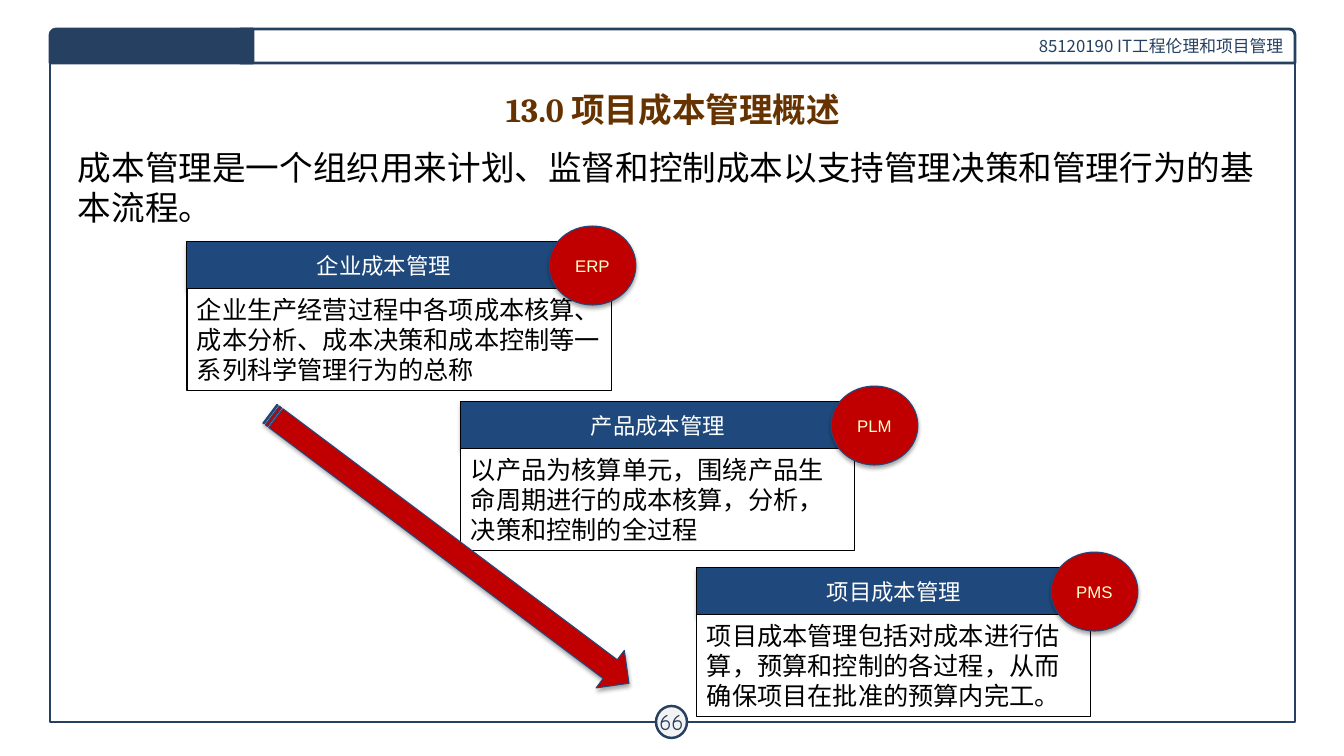
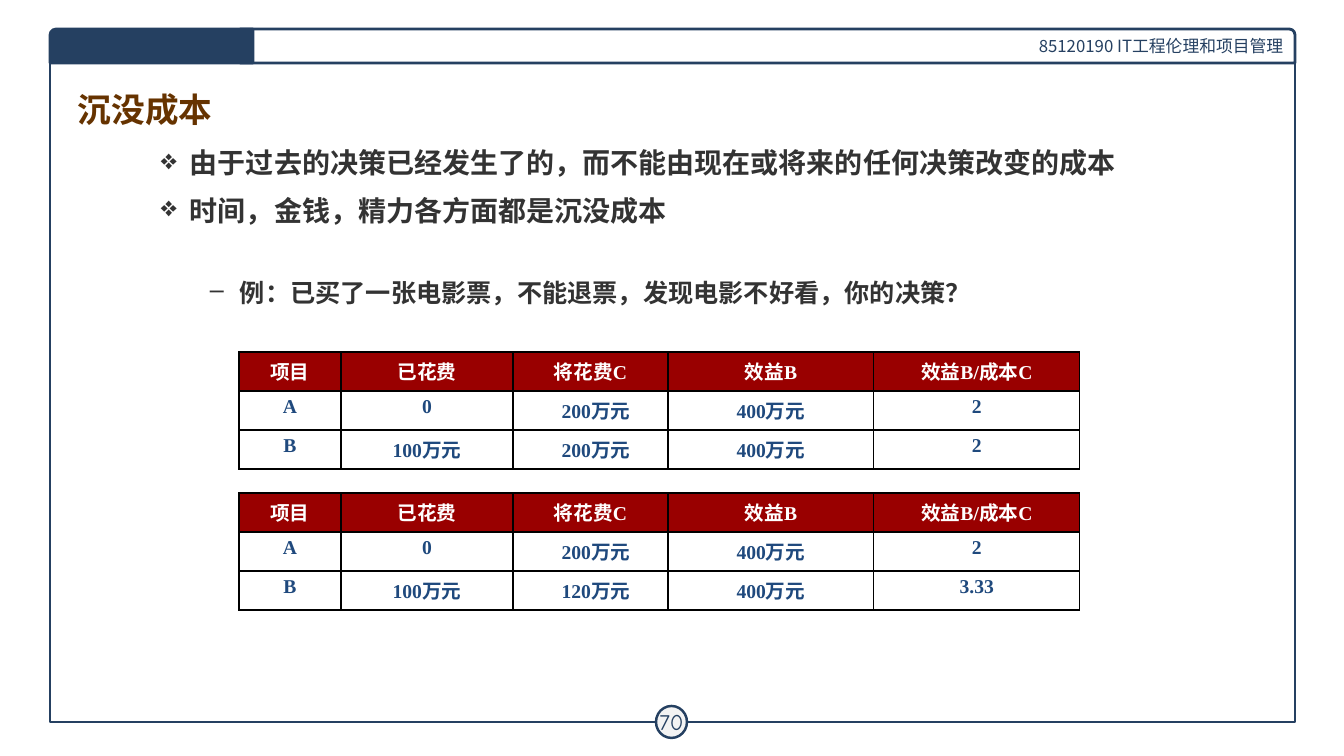
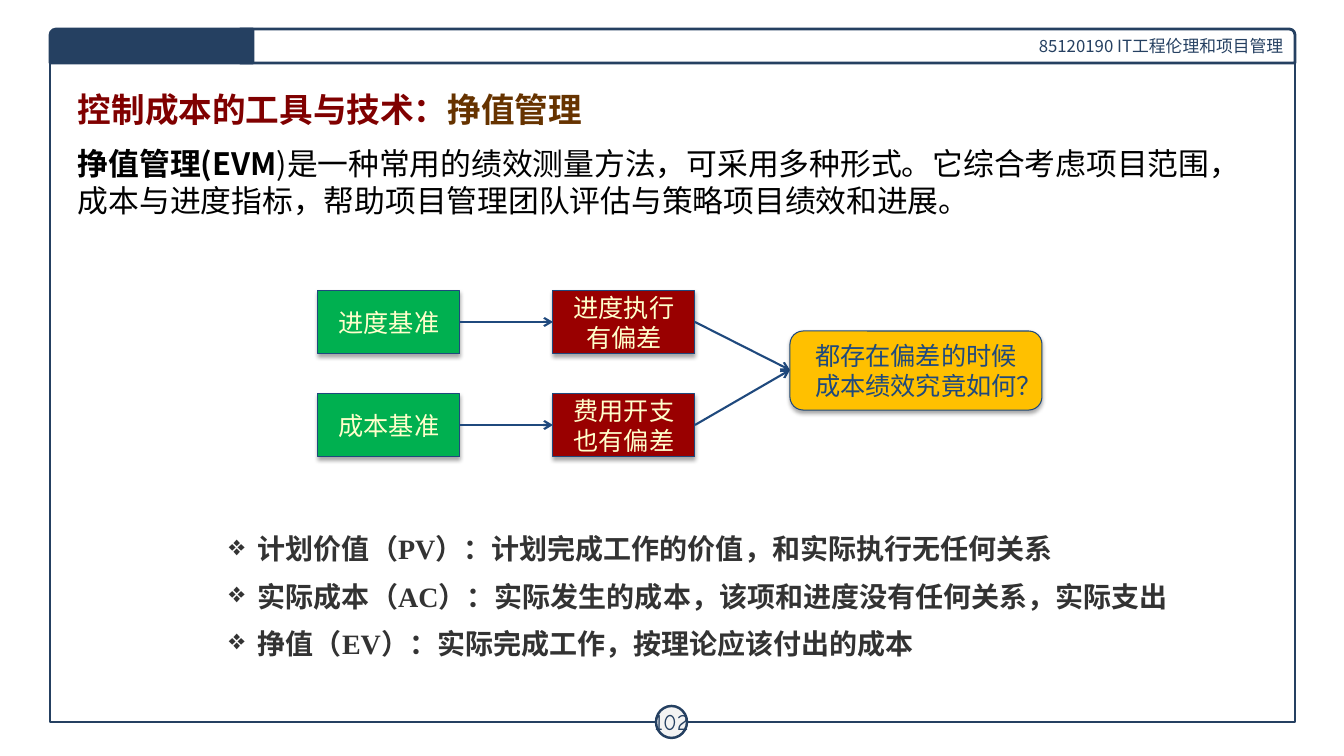
from dataclasses import dataclass

from lxml.etree import SubElement
from pptx import Presentation
from pptx.dml.color import RGBColor
from pptx.enum.shapes import MSO_CONNECTOR, MSO_SHAPE
from pptx.enum.text import MSO_ANCHOR, PP_ALIGN
from pptx.oxml.ns import qn
from pptx.util import Pt

PAGE_WIDTH, PAGE_HEIGHT = 1344, 756
EMU_PER_PX = 914400 / 100.8


@dataclass(frozen=True)
class Theme:
    navy: str = "254061"
    blue: str = "1F497D"
    brown: str = "663300"
    maroon: str = "800000"
    crimson: str = "990000"
    red: str = "C00000"
    green: str = "00B050"
    amber: str = "FFC000"
    cream: str = "FFFFCC"
    grey: str = "333333"
    pale: str = "F3F3F3"
    black: str = "000000"
    white: str = "FFFFFF"
    sans: str = "Noto Sans CJK SC"
    serif: str = "Cambria"
    times: str = "Times New Roman"
    title: int = 24
    lead: int = 22
    bullet: int = 20
    body: int = 18
    label: int = 16
    cell: int = 14
    small: int = 12


T = Theme()

# Content
COURSE = "85120190 IT工程伦理和项目管理"

COST_TITLE = "13.0 项目成本管理概述"
COST_INTRO = "成本管理是一个组织用来计划、监督和控制成本以支持管理决策和管理行为的基本流程。"
# left, top, body width, badge left, badge, heading, body
COST_LEVELS = [
    (187, 242, 425, 549, "ERP", "企业成本管理",
     "企业生产经营过程中各项成本核算、成本分析、成本决策和成本控制等一系列科学管理行为的总称"),
    (461, 402, 394, 831, "PLM", "产品成本管理",
     "以产品为核算单元，围绕产品生命周期进行的成本核算，分析，决策和控制的全过程"),
    (697, 568, 394, 1051, "PMS", "项目成本管理",
     "项目成本管理包括对成本进行估算，预算和控制的各过程，从而确保项目在批准的预算内完工。"),
]

SUNK_TITLE = "沉没成本"
SUNK_POINTS = [
    "由于过去的决策已经发生了的，而不能由现在或将来的任何决策改变的成本",
    "时间，金钱，精力各方面都是沉没成本",
]
SUNK_EXAMPLE = "例：已买了一张电影票，不能退票，发现电影不好看，你的决策？"
SUNK_HEADER = ["项目", "已花费", "将花费C", "效益B", "效益B/成本C"]
PROJECT_A = ["A", "0", "200万元", "400万元", "2"]
SUNK_TABLES = [
    (352, [PROJECT_A, ["B", "100万元", "200万元", "400万元", "2"]]),
    (493, [PROJECT_A, ["B", "100万元", "120万元", "400万元", "3.33"]]),
]
COLUMN_WIDTHS = [102, 172, 155, 206, 206]
ROW_HEIGHT = 39
SHIFTED_COLUMN = 2

EVM_TITLE = ["控制成本的工具与技术：", "挣值管理"]
EVM_INTRO = ["挣值管理(EVM", ")是一种常用的绩效测量方法，可采用多种形式。它综合考虑项目范围，"
             "成本与进度指标，帮助项目管理团队评估与策略项目绩效和进展。"]
EVM_FLOWS = [("进度基准", "进度执行有偏差"), ("成本基准", "费用开支也有偏差")]
EVM_QUESTION = "都存在偏差的时候成本绩效究竟如何？"
EVM_POINTS = [
    "计划价值（PV）：计划完成工作的价值，和实际执行无任何关系",
    "实际成本（AC）：实际发生的成本，该项和进度没有任何关系，实际支出",
    "挣值（EV）：实际完成工作，按理论应该付出的成本",
]


# Helpers
def px(length):
    return round(length * EMU_PER_PX)


def rgb(colour):
    return RGBColor.from_string(colour)


def add_run(para, text, size, colour, font=T.sans, bold=False):
    span = para.add_run()
    span.text = text
    span.font.size = Pt(size)
    span.font.bold = bold
    span.font.color.rgb = rgb(colour)
    span.font.name = font
    SubElement(span.font._element, qn("a:ea"), typeface=T.sans)


def add_shape(page, kind, area, fill=None, line=T.blue, width=0.75, shadow=False):
    shape = page.shapes.add_shape(kind, *map(px, area))
    shape.shadow.inherit = False
    if fill:
        shape.fill.solid()
        shape.fill.fore_color.rgb = rgb(fill)
    else:
        shape.fill.background()
    shape.line.color.rgb = rgb(line)
    shape.line.width = Pt(width)
    if shadow:
        effects = shape.element.spPr.find(qn("a:effectLst"))
        outer = SubElement(effects, qn("a:outerShdw"), blurRad=str(Pt(3.1)),
                           dist=str(Pt(1.8)), dir="5400000", rotWithShape="0")
        black = SubElement(outer, qn("a:srgbClr"), val=T.black)
        SubElement(black, qn("a:alpha"), val="35000")
    return shape


def write(shape, text, size, colour, font=T.sans, align=PP_ALIGN.CENTER,
          anchor=MSO_ANCHOR.MIDDLE, wrap=True):
    frame = shape.text_frame
    frame.word_wrap = wrap
    frame.vertical_anchor = anchor
    para = frame.paragraphs[0]
    para.alignment = align
    add_run(para, text, size, colour, font)
    return frame


def add_text(page, area, runs, align=PP_ALIGN.LEFT, anchor=MSO_ANCHOR.TOP):
    frame = page.shapes.add_textbox(*map(px, area)).text_frame
    frame.word_wrap = True
    frame.vertical_anchor = anchor
    para = frame.paragraphs[0]
    para.alignment = align
    for run in runs:
        add_run(para, *run)
    return frame


def set_bullet(para, mark, left, hang):
    properties = para._p.get_or_add_pPr()
    properties.set("marL", str(px(left)))
    properties.set("indent", str(-px(hang)))
    if mark:
        SubElement(properties, qn("a:buChar"), char=mark)


def add_bullets(page, area, points, font):
    frame = add_text(page, area, [])
    for index, point in enumerate(points):
        para = frame.add_paragraph() if index else frame.paragraphs[0]
        set_bullet(para, "❖", 29, 29)
        para.space_before = Pt(7.2 if index else 0)
        para.space_after = Pt(2.4)
        add_run(para, point, T.bullet, T.grey, font, True)
    return frame


def add_arrow(page, start, end):
    arrow = page.shapes.add_connector(MSO_CONNECTOR.STRAIGHT, *map(px, start + end))
    arrow.line.color.rgb = rgb(T.blue)
    arrow.line.width = Pt(1.5)
    SubElement(arrow.line._get_or_add_ln(), qn("a:tailEnd"), type="arrow")
    SubElement(arrow.element.spPr, qn("a:effectLst"))


def add_page(deck, number, title, align=PP_ALIGN.LEFT):
    page = deck.slides.add_slide(deck.slide_layouts[6])
    add_shape(page, MSO_SHAPE.RECTANGLE, (50, 50, 1245, 672), line=T.navy, width=2)
    band = add_shape(page, MSO_SHAPE.ROUND_1_RECTANGLE, (240, 29, 1055, 34),
                     T.white, T.navy, 2)
    write(band, COURSE, T.small, T.navy, align=PP_ALIGN.RIGHT)
    badge = add_shape(page, MSO_SHAPE.OVAL, (656, 706, 31, 32), T.pale, T.navy, 1.75)
    frame = write(badge, str(number), T.label, T.navy, "Comic Neue", wrap=False)
    frame.margin_left = frame.margin_right = px(4)
    frame.margin_top = frame.margin_bottom = px(4)
    tab = add_shape(page, MSO_SHAPE.ROUND_1_RECTANGLE, (50, 29, 203, 34),
                    T.navy, T.navy, 2)
    tab.adjustments[0] = 0.18
    tab.element.spPr.xfrm.set("flipH", "1")
    add_text(page, (68, 85, 1210, 48), title, align, MSO_ANCHOR.MIDDLE)
    return page


def add_cost_table(page, top, rows):
    rows = [SUNK_HEADER] + rows
    table = page.shapes.add_table(
        len(rows), len(COLUMN_WIDTHS), px(239), px(top),
        px(sum(COLUMN_WIDTHS)), px(ROW_HEIGHT * len(rows))).table
    table.first_row = table.horz_banding = False
    for column, width in zip(table.columns, COLUMN_WIDTHS):
        column.width = px(width)
    for row_index, row in enumerate(rows):
        table.rows[row_index].height = px(ROW_HEIGHT)
        for column_index, text in enumerate(row):
            cell = table.cell(row_index, column_index)
            properties = cell._tc.get_or_add_tcPr()
            for side in ("lnL", "lnR", "lnT", "lnB"):
                border = SubElement(properties, qn("a:" + side), w=str(Pt(1)))
                paint = SubElement(border, qn("a:solidFill"))
                SubElement(paint, qn("a:srgbClr"), val=T.black)
            para = cell.text_frame.paragraphs[0]
            para.alignment = PP_ALIGN.CENTER
            if row_index == 0:
                cell.fill.solid()
                cell.fill.fore_color.rgb = rgb(T.crimson)
            else:
                cell.fill.background()
                if column_index == SHIFTED_COLUMN:
                    set_bullet(para, None, 32, 21)
            add_run(para, text, T.cell, T.blue if row_index else T.white, T.times, True)


# Slides
def build_cost_page(deck):
    title = [(COST_TITLE, T.title, T.brown, T.serif, True)]
    page = add_page(deck, 66, title, PP_ALIGN.CENTER)
    add_text(page, (68, 142, 1210, 79), [(COST_INTRO, T.title, T.black)])
    for left, top, width, _, _, heading, body in COST_LEVELS:
        head = add_shape(page, MSO_SHAPE.RECTANGLE, (left, top, 394, 47),
                         T.blue, T.black, shadow=True)
        write(head, heading, T.label, T.white, wrap=False)
        panel = add_shape(page, MSO_SHAPE.RECTANGLE, (left, top + 47, width, 102),
                          T.white, T.black)
        write(panel, body, T.body, T.black, align=PP_ALIGN.LEFT, anchor=MSO_ANCHOR.TOP)
    arrow = add_shape(page, MSO_SHAPE.STRIPED_RIGHT_ARROW, (225, 525, 449, 47),
                      T.red, shadow=True)
    arrow.rotation = 36.9
    for _, top, _, badge_left, system, _, _ in COST_LEVELS:
        badge = add_shape(page, MSO_SHAPE.OVAL, (badge_left, top - 16, 87, 79),
                          T.red, shadow=True)
        write(badge, system, T.small, T.cream, "Arial")


def build_sunk_page(deck):
    page = add_page(deck, 70, [(SUNK_TITLE, T.title, T.brown, T.serif, True)])
    frame = add_bullets(page, (151, 141, 1052, 172), SUNK_POINTS, T.serif)
    example = frame.add_paragraph()
    set_bullet(example, "–", 79, 30)
    example.space_before = Pt(34)
    add_run(example, SUNK_EXAMPLE, T.body, T.grey, T.serif, True)
    for top, rows in SUNK_TABLES:
        add_cost_table(page, top, rows)


def build_evm_page(deck):
    topic, method = EVM_TITLE
    page = add_page(deck, 102, [(topic, T.title, T.maroon, "Karla", True),
                                (method, T.title, T.brown, T.serif, True)])
    term, meaning = EVM_INTRO
    add_text(page, (68, 140, 1210, 85), [(term, T.lead, T.black, T.sans, True),
                                         (meaning, T.lead, T.black)])
    # Flow from baselines to the question
    width, height = 142, 63
    lefts, question = (318, 553), (790, 331, 252, 79)
    target = (question[0], question[1] + 39)
    for row, labels in enumerate(EVM_FLOWS):
        top = 291 + row * 103
        middle = top + height // 2
        for left, label, fill in zip(lefts, labels, (T.green, T.crimson)):
            box = add_shape(page, MSO_SHAPE.RECTANGLE, (left, top, width, height),
                            fill, shadow=True)
            write(box, label, T.body, T.cream)
        add_arrow(page, (lefts[0] + width, middle), (lefts[1], middle))
        add_arrow(page, (lefts[1] + width, middle), target)
    box = add_shape(page, MSO_SHAPE.ROUNDED_RECTANGLE, question, T.amber, shadow=True)
    write(box, EVM_QUESTION, T.body, T.blue)
    add_bullets(page, (219, 527, 1011, 144), EVM_POINTS, T.times)


def main():
    deck = Presentation()
    deck.slide_width, deck.slide_height = px(PAGE_WIDTH), px(PAGE_HEIGHT)
    build_cost_page(deck)
    build_sunk_page(deck)
    build_evm_page(deck)
    deck.save("out.pptx")


if __name__ == "__main__":
    main()
